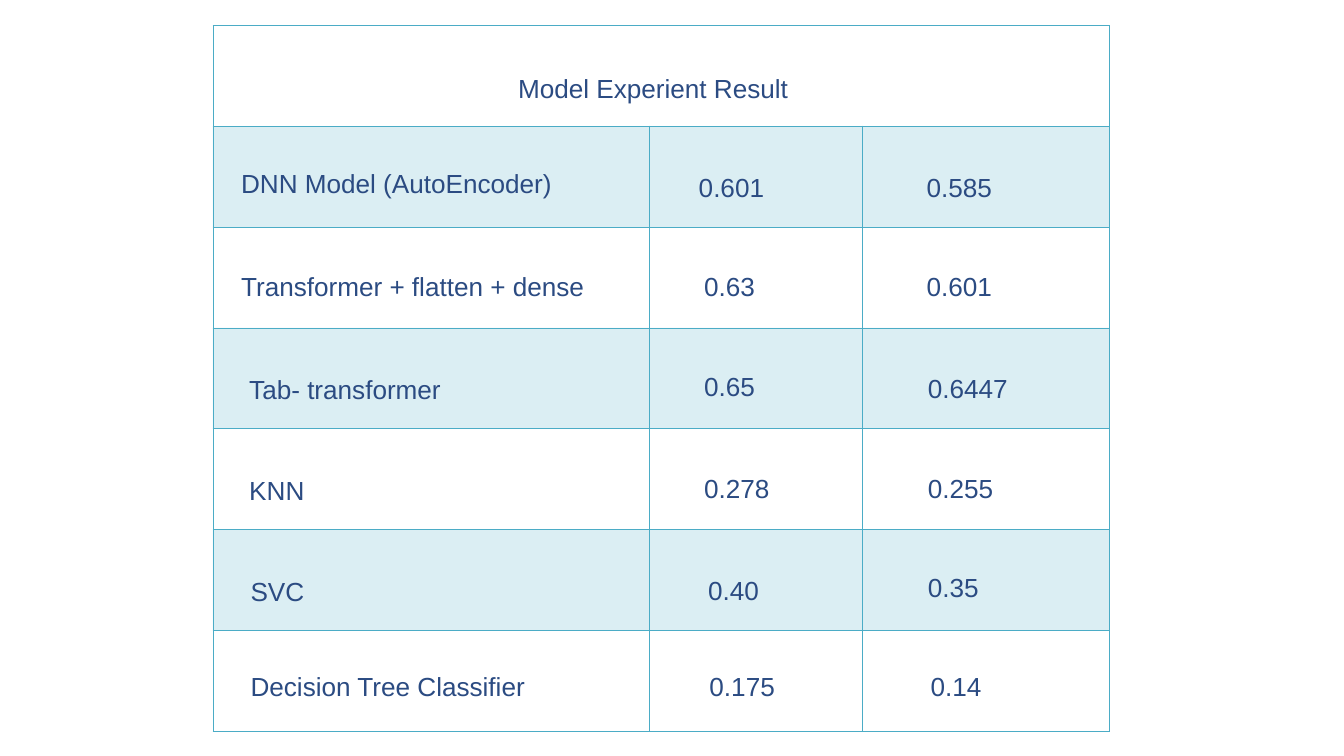
from typing import NamedTuple

from lxml.etree import SubElement
from pptx import Presentation
from pptx.dml.color import RGBColor
from pptx.enum.text import MSO_AUTO_SIZE
from pptx.oxml.ns import qn
from pptx.util import Pt

TEAL = "4BACC6"
NAVY = "2B4B82"
WHITE = "FFFFFF"
FONT = "Arial"

TABLE_LEFT, TABLE_TOP = 228.2, 27.4
COL_WIDTHS = (468, 228.2, 264.2)
ROW_COUNT, ROW_HEIGHT = 7, 108
LABEL_WIDTH, LABEL_HEIGHT = 468, 46


class Label(NamedTuple):
    text: str
    left: float
    top: float


TITLE = Label("Model Experient Result", 548, 57)

RESULTS = (
    (Label("DNN Model (AutoEncoder)", 251.3, 159),
     Label("0.601", 741.6, 163.4), Label("0.585", 985.7, 163.4)),
    (Label("Transformer + flatten + dense", 251.3, 269.3),
     Label("0.63", 747.4, 269.3), Label("0.601", 985.7, 269.3)),
    (Label("Tab- transformer", 260, 380.2),
     Label("0.65", 747.4, 376.6), Label("0.6447", 987, 378.7)),
    (Label("KNN", 260, 488.2),
     Label("0.278", 747.4, 485.3), Label("0.255", 987, 486)),
    (Label("SVC", 261.4, 596.2),
     Label("0.40", 751.7, 594.7), Label("0.35", 987, 591.8)),
    (Label("Decision Tree Classifier", 261.4, 698.4),
     Label("0.175", 753.1, 698.4), Label("0.14", 990, 697.7)),
)


def rgb(value: str) -> RGBColor:
    return RGBColor.from_string(value)


def set_border(cell, side: str, width: float) -> None:
    tcPr = cell._tc.get_or_add_tcPr()
    ln = SubElement(tcPr, qn(f"a:ln{side}"), w=str(Pt(width)))
    fill = SubElement(ln, qn("a:solidFill"))
    SubElement(fill, qn("a:srgbClr"), val=TEAL)


def set_tint(cell, percent: int) -> None:
    """Fill the cell with teal at the given opacity."""
    cell.fill.solid()
    cell.fill.fore_color.rgb = rgb(TEAL)
    color = cell._tc.tcPr.find(qn("a:solidFill")).find(qn("a:srgbClr"))
    SubElement(color, qn("a:alpha"), val=str(percent * 1000))


def add_grid(s) -> None:
    frame = s.shapes.add_table(
        ROW_COUNT, len(COL_WIDTHS), Pt(TABLE_LEFT), Pt(TABLE_TOP),
        Pt(sum(COL_WIDTHS)), Pt(ROW_COUNT * ROW_HEIGHT))
    table = frame.table
    table.first_row = table.horz_banding = False
    for column, width in zip(table.columns, COL_WIDTHS):
        column.width = Pt(width)
    for i, row in enumerate(table.rows):
        row.height = Pt(ROW_HEIGHT)
        for cell in row.cells:
            for side in "LRTB":
                under_title = (i, side) in ((0, "B"), (1, "T"))
                set_border(cell, side, 2 if under_title else 1)
            if i % 2:
                set_tint(cell, 20)
            else:
                cell.fill.background()
    table.cell(0, 0).merge(table.cell(0, len(COL_WIDTHS) - 1))


def add_label(s, label: Label) -> None:
    sp = s.shapes.add_textbox(Pt(label.left), Pt(label.top),
                              Pt(LABEL_WIDTH), Pt(LABEL_HEIGHT))
    tf = sp.text_frame
    tf.word_wrap = True
    tf.auto_size = MSO_AUTO_SIZE.SHAPE_TO_FIT_TEXT
    p = tf.paragraphs[0]
    p.line_spacing = 1.5
    r = p.add_run()
    r.text = label.text
    r.font.name = FONT
    r.font.size = Pt(28)
    r.font.color.rgb = rgb(NAVY)


def main() -> None:
    prs = Presentation()
    prs.slide_width, prs.slide_height = Pt(1440), Pt(810)
    s = prs.slides.add_slide(prs.slide_layouts[6])
    s.background.fill.solid()
    s.background.fill.fore_color.rgb = rgb(WHITE)

    add_grid(s)
    add_label(s, TITLE)
    for result in RESULTS:
        for label in result:
            add_label(s, label)

    prs.save("out.pptx")


if __name__ == "__main__":
    main()
